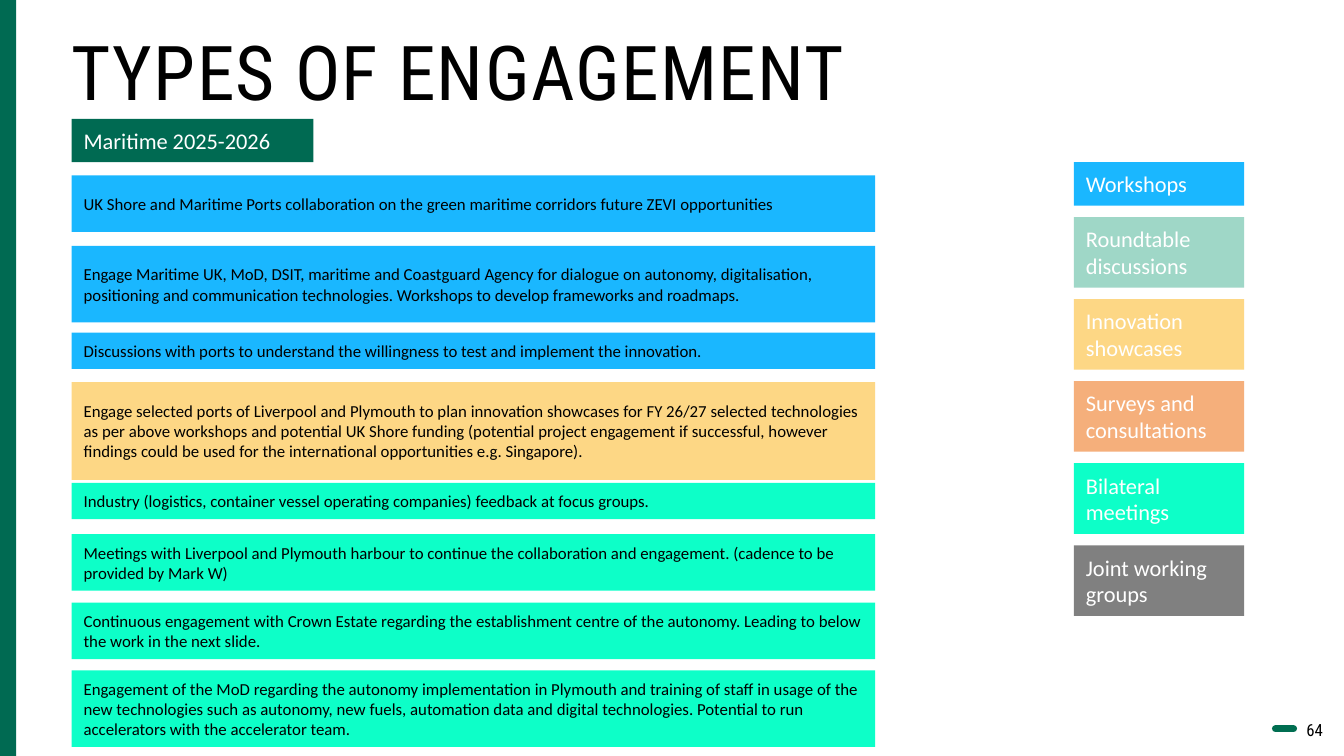
from typing import NamedTuple

from lxml.etree import SubElement
from pptx import Presentation
from pptx.dml.color import RGBColor
from pptx.enum.shapes import MSO_CONNECTOR as Connector, MSO_SHAPE as Shape
from pptx.enum.text import MSO_ANCHOR as Anchor, PP_ALIGN as Align
from pptx.oxml.ns import qn
from pptx.slide import Slide
from pptx.text.text import TextFrame
from pptx.util import Inches, Pt

COLORS = {
    "brand": "006A52",
    "dash": "006E51",
    "workshop": "1AB7FF",
    "roundtable": "9FD7C7",
    "showcase": "FDD785",
    "survey": "F5AF7B",
    "bilateral": "0DFFC8",
    "joint": "808080",
    "black": "000000",
    "white": "FFFFFF",
}
BODY_FONT = "Calibri"
HEADING_FONT = "Roboto Condensed"


class Activity(NamedTuple):
    top: float
    height: float
    kind: str
    text: str


class LegendKey(NamedTuple):
    kind: str
    text: str
    height: float = 0.7


ACTIVITIES = [
    Activity(1.74, 0.56, "workshop",
             "UK Shore and Maritime Ports collaboration on the green maritime corridors "
             "future ZEVI opportunities"),
    Activity(2.44, 0.76, "workshop",
             "Engage Maritime UK, MoD, DSIT, maritime and Coastguard Agency for dialogue on "
             "autonomy, digitalisation, positioning and communication technologies. "
             "Workshops to develop frameworks and roadmaps."),
    Activity(3.3, 0.36, "workshop",
             "Discussions with ports to understand the willingness to test and implement "
             "the innovation."),
    Activity(3.79, 0.97, "showcase",
             "Engage selected ports of Liverpool and Plymouth to plan innovation showcases "
             "for FY 26/27 selected technologies as per above workshops and potential UK "
             "Shore funding (potential project engagement if successful, however findings "
             "could be used for the international opportunities e.g. Singapore)."),
    Activity(4.79, 0.36, "bilateral",
             "Industry (logistics, container vessel operating companies) feedback at focus "
             "groups."),
    Activity(5.3, 0.56, "bilateral",
             "Meetings with Liverpool and Plymouth harbour to continue the collaboration "
             "and engagement. (cadence to be provided by Mark W)"),
    Activity(5.98, 0.56, "bilateral",
             "Continuous engagement with Crown Estate regarding the establishment centre of "
             "the autonomy. Leading to below the work in the next slide."),
    Activity(6.65, 0.76, "bilateral",
             "Engagement of the MoD regarding the autonomy implementation in Plymouth and "
             "training of staff in usage of the new technologies such as autonomy, new "
             "fuels, automation data and digital technologies. Potential to run "
             "accelerators with the accelerator team."),
]

LEGEND = [
    LegendKey("workshop", "Workshops", 0.43),
    LegendKey("roundtable", "Roundtable discussions"),
    LegendKey("showcase", "Innovation showcases"),
    LegendKey("survey", "Surveys and consultations"),
    LegendKey("bilateral", "Bilateral meetings"),
    LegendKey("joint", "Joint working groups"),
]
LEGEND_TOP, LEGEND_BOTTOM = 1.61, 6.11


def rgb(name: str) -> RGBColor:
    return RGBColor.from_string(COLORS[name])


def write(frame: TextFrame, text: str, *, size: float, color: str = "black",
          font: str = BODY_FONT, align: Align = Align.LEFT,
          anchor: Anchor = Anchor.MIDDLE, line_spacing: float = 1.0,
          margins: tuple[float, float] = (0.12, 0.08), tracking: float = 0) -> None:
    """Fill a frame with one paragraph; margins are horizontal, vertical in inches."""
    frame.word_wrap = True
    frame.vertical_anchor = anchor
    frame.margin_left = frame.margin_right = Inches(margins[0])
    frame.margin_top = frame.margin_bottom = Inches(margins[1])
    paragraph = frame.paragraphs[0]
    paragraph.alignment = align
    paragraph.line_spacing = line_spacing
    run = paragraph.add_run()
    run.text = text
    run.font.name = font
    run.font.size = Pt(size)
    run.font.bold = False
    run.font.color.rgb = rgb(color)
    if tracking:
        run.font._element.set("spc", str(round(tracking * 100)))


def add_block(slide: Slide, left: float, top: float, width: float, height: float,
              fill: str) -> TextFrame:
    block = slide.shapes.add_shape(Shape.RECTANGLE, Inches(left), Inches(top),
                                   Inches(width), Inches(height))
    block.shadow.inherit = False
    block.fill.solid()
    block.fill.fore_color.rgb = rgb(fill)
    block.line.fill.background()
    return block.text_frame


def add_title(slide: Slide) -> None:
    title = slide.shapes.title
    title.left, title.top = Inches(0.71), Inches(0.39)
    title.width, title.height = Inches(11.82), Inches(0.77)
    write(title.text_frame, "TYPES OF ENGAGEMENT", size=54, font=HEADING_FONT,
          anchor=Anchor.TOP, line_spacing=0.85, margins=(0, 0), tracking=1)


def add_page_number(slide: Slide) -> None:
    number = slide.shapes.add_textbox(Inches(12.44), Inches(7.09),
                                      Inches(0.78), Inches(0.3))
    write(number.text_frame, "64", size=12, font=HEADING_FONT, align=Align.RIGHT,
          anchor=Anchor.TOP, margins=(0.1, 0.05))
    dash = slide.shapes.add_connector(Connector.STRAIGHT, Inches(12.83), Inches(7.23),
                                      Inches(12.65), Inches(7.23))
    dash.line.color.rgb = rgb("dash")
    dash.line.width = Pt(5)
    dash.line._get_or_add_ln().set("cap", "rnd")
    SubElement(dash._element.spPr, qn("a:effectLst"))


def add_legend(slide: Slide) -> None:
    free = LEGEND_BOTTOM - LEGEND_TOP - sum(key.height for key in LEGEND)
    gap = free / (len(LEGEND) - 1)
    top = LEGEND_TOP
    for key in LEGEND:
        write(add_block(slide, 10.65, top, 1.69, key.height, key.kind), key.text,
              size=16, color="white")
        top += key.height + gap


def main() -> None:
    deck = Presentation()
    deck.slide_width, deck.slide_height = Inches(13.33), Inches(7.5)
    slide = deck.slides.add_slide(deck.slide_layouts[5])
    add_block(slide, 0, 0, 0.16, 7.5, "brand")
    add_page_number(slide)
    add_title(slide)
    write(add_block(slide, 0.71, 1.18, 2.4, 0.43, "brand"), "Maritime 2025-2026",
          size=16, color="white")
    for activity in ACTIVITIES:
        write(add_block(slide, 0.71, activity.top, 7.97, activity.height, activity.kind),
              activity.text, size=12)
    add_legend(slide)
    deck.save("out.pptx")


if __name__ == "__main__":
    main()
